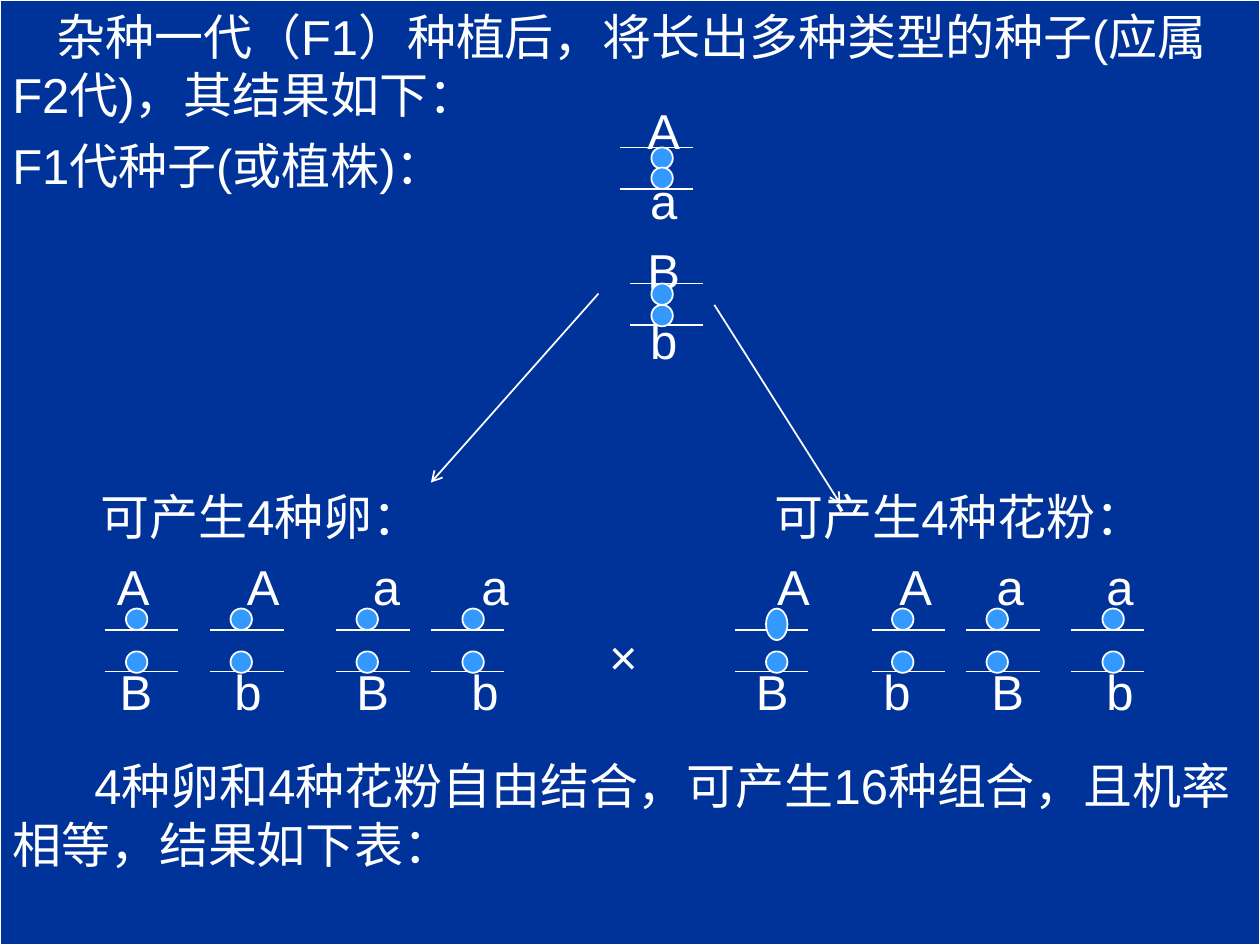
from lxml import etree
from pptx import Presentation
from pptx.dml.color import RGBColor
from pptx.enum import shapes, text
from pptx.oxml.ns import qn
from pptx.util import Inches, Pt

HEX = {"back": "003399", "ink": "FFFFFF", "dot": "3399FF"}
RGB = {name: RGBColor.from_string(code) for name, code in HEX.items()}

deck = Presentation()
deck.slide_width, deck.slide_height = Inches(10), Inches(7.5)
slide = deck.slides.add_slide(deck.slide_layouts[6])
slide.background.fill.solid()
slide.background.fill.fore_color.rgb = RGB["back"]


def add_line(x1, y1, x2, y2, arrow=False):
    line = slide.shapes.add_connector(
        shapes.MSO_CONNECTOR.STRAIGHT, Inches(x1), Inches(y1), Inches(x2), Inches(y2))
    line.line.color.rgb = RGB["ink"]
    line.line.width = Pt(1)
    if arrow:
        etree.SubElement(line.line._get_or_add_ln(), qn("a:tailEnd"), type="arrow")
    etree.SubElement(line._element.spPr, qn("a:effectLst"))


def add_shape(kind, x, y, wide, high, fill=None):
    shape = slide.shapes.add_shape(kind, Inches(x), Inches(y), Inches(wide), Inches(high))
    shape.shadow.inherit = False
    if fill:
        shape.fill.solid()
        shape.fill.fore_color.rgb = RGB[fill]
    else:
        shape.fill.background()
    shape.line.color.rgb = RGB["ink"]
    shape.line.width = Pt(1)
    return shape


# Text: wording, space before (pt), fixed 20 pt line, first indent, tab kind, tab stops
GENE = [5.17]
ROWS = [
    ("杂种一代（F1）种植后，将长出多种类型的种子(应属F2代)，其结果如下：", 0, False, 0.35, "l", []),
    ("\tA", 0, True, 0, "ctr", GENE),
    ("F1代种子(或植株)：", 0, True, 0, "l", []),
    ("\ta", 0, True, 0, "ctr", GENE),
    ("\tB", 20, True, 0, "ctr", GENE),
    ("\tb", 20, True, 0, "ctr", GENE),
    ("\t可产生4种卵：\t可产生4种花粉：", 67, False, 0, "l", [0.7, 6.05]),
    ("\tA\tA\ta\ta\tA\tA\ta\ta", 20, True, 0, "ctr",
     [0.96, 1.99, 2.97, 3.83, 6.2, 7.17, 7.92, 8.79]),
    ("\t×", 20, True, 0, "ctr", [4.85]),
    ("\tB\tb\tB\tb\tB\tb\tB\tb", 0, True, 0, "ctr",
     [0.98, 1.87, 2.86, 3.75, 6.03, 7.02, 7.9, 8.79]),
    ("4种卵和4种花粉自由结合，可产生16种组合，且机率相等，结果如下表：", 20, False, 0.65, "l", []),
]
frame = add_shape(shapes.MSO_SHAPE.RECTANGLE, 0, 0, 10, 7.5).text_frame
frame.word_wrap = True
frame.vertical_anchor = text.MSO_ANCHOR.TOP
frame.text = "\n".join(row[0] for row in ROWS)
for para, (_, before, fixed, indent, kind, stops) in zip(frame.paragraphs, ROWS):
    para.alignment = text.PP_ALIGN.LEFT
    props = para._p.get_or_add_pPr()
    # An explicit indent would reset the tab stops, so only indented rows get one
    if indent:
        props.set("indent", str(Inches(indent)))
    if stops:
        tabs = etree.SubElement(props, qn("a:tabLst"))
        for stop in stops:
            etree.SubElement(tabs, qn("a:tab"), pos=str(Inches(stop)), algn=kind)
    para.space_before = Pt(before)
    if fixed:
        para.line_spacing = Pt(20)
    for run in para.runs:
        run.font.name = "Arial"
        run.font.size = Pt(28)
        run.font.color.rgb = RGB["ink"]

# Chromosomes: line left, dot left, line heights, dot tops
PAIRS = [
    (4.92, 5.17, (1.17, 1.5), (1.17, 1.33)),
    (5, 5.17, (2.25, 2.58), (2.25, 2.42)),
]
GAMETES = [(0.83, 1), (1.67, 1.83), (2.67, 2.83), (3.42, 3.67),
           (5.83, 6.08), (6.92, 7.08), (7.67, 7.83), (8.5, 8.75)]
PAIRS += [(left, dot, (5, 5.33), (4.83, 5.17)) for left, dot in GAMETES]
for left, _, levels, _ in PAIRS:
    for y in levels:
        add_line(left, y, left + 0.58, y)
for _, dot, _, tops in PAIRS:
    for y in tops:
        high = 0.25 if (dot, y) == (6.08, 4.83) else 0.17  # one dot is taller
        add_shape(shapes.MSO_SHAPE.OVAL, dot, y, 0.17, high, "dot")

# Arrows to the eggs and the pollen
add_line(4.75, 2.33, 3.42, 3.83, arrow=True)
add_line(5.67, 2.42, 6.67, 4, arrow=True)

deck.save("out.pptx")
